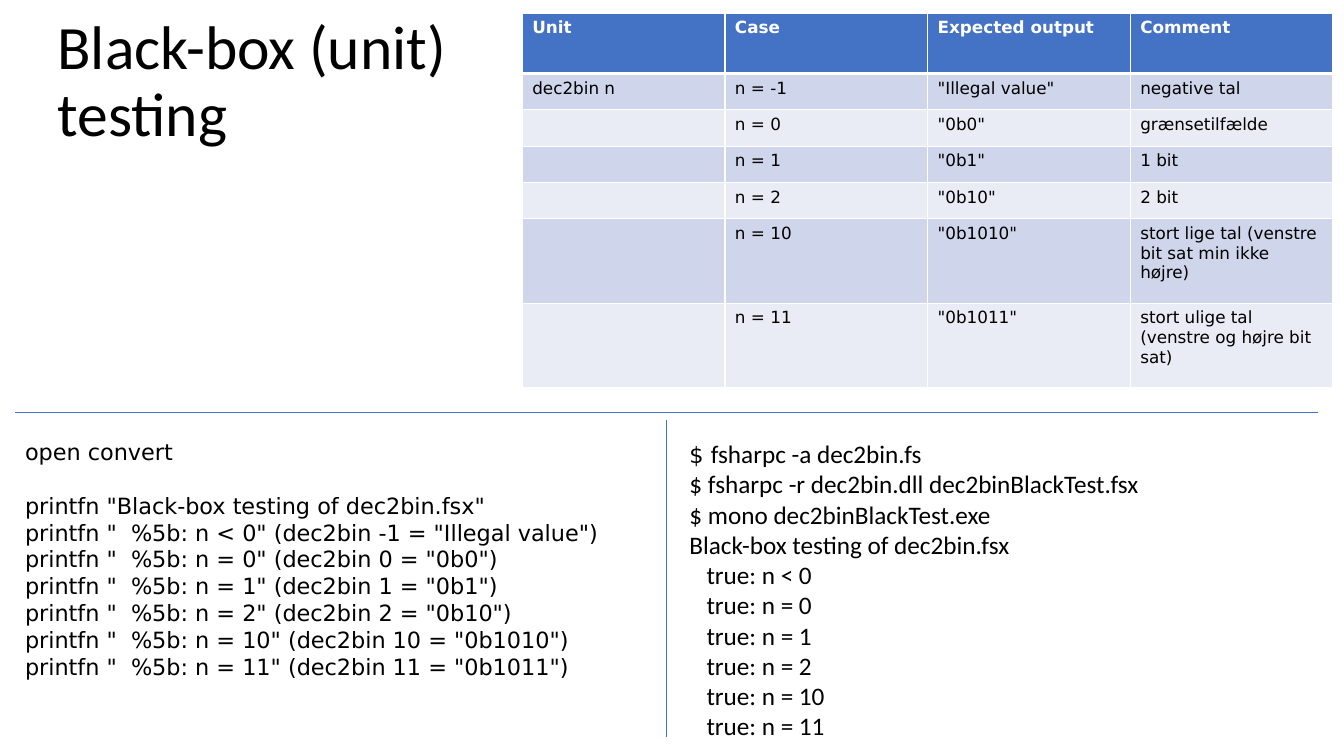
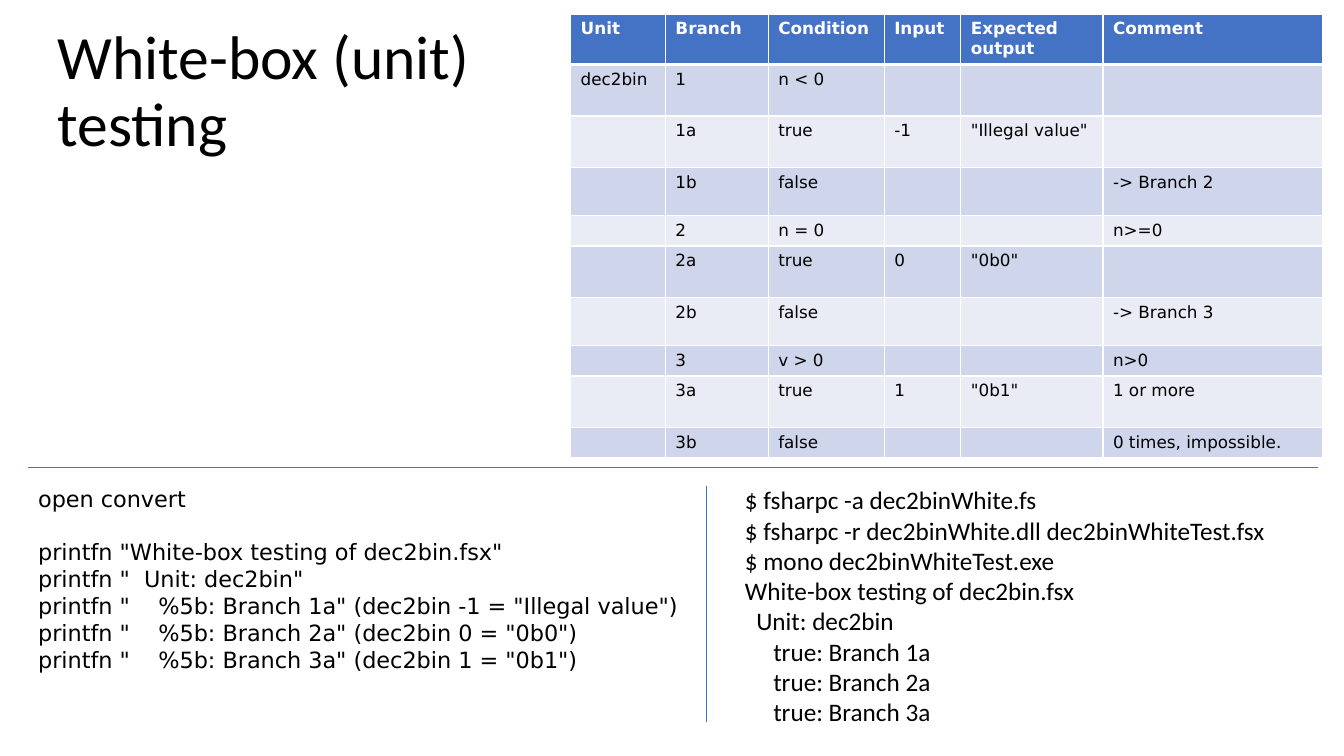
import lxml.etree
import pptx
import pptx.dml.color
import pptx.enum.shapes
import pptx.enum.text
import pptx.oxml.ns
import pptx.util

Inches = pptx.util.Inches
Pt = pptx.util.Pt
qn = pptx.oxml.ns.qn

BLUE, BLACK, WHITE = "4472C4", "000000", "FFFFFF"
BANDS = ("CFD5EA", "E9EBF5")
SANS, MONO = "Calibri", "DejaVu Sans"
FORMATS = {
    "title": {"name": SANS, "size": Pt(44), "bold": False},
    "code": {"name": MONO, "size": Pt(16)},
    "terminal": {"name": SANS, "size": Pt(18)},
    "header": {"name": MONO, "size": Pt(12), "bold": True},
    "cell": {"name": MONO, "size": Pt(12), "bold": False},
}


def rgb(hex_colour):
    return pptx.dml.color.RGBColor.from_string(hex_colour)


class Deck:
    def __init__(self):
        self.presentation = pptx.Presentation()
        self.presentation.slide_width = Inches(13.33)
        self.presentation.slide_height = Inches(7.5)
        self.slide = None

    def style(self, font, style, colour=BLACK):
        for attribute, value in FORMATS[style].items():
            setattr(font, attribute, value)
        font.color.rgb = rgb(colour)

    def add_run(self, paragraph, text, style, colour=BLACK):
        run = paragraph.add_run()
        run.text = text
        self.style(run.font, style, colour)

    def new_slide(self, title, top, width):
        layout = self.presentation.slide_layouts[5]
        self.slide = self.presentation.slides.add_slide(layout)
        heading = self.slide.shapes.title
        heading.left, heading.top = Inches(0.47), Inches(top)
        heading.width, heading.height = Inches(width), Inches(1.45)
        frame = heading.text_frame
        frame.word_wrap = True
        frame.auto_size = pptx.enum.text.MSO_AUTO_SIZE.NONE
        frame.vertical_anchor = pptx.enum.text.MSO_ANCHOR.MIDDLE
        paragraph = frame.paragraphs[0]
        paragraph.alignment = pptx.enum.text.PP_ALIGN.LEFT
        paragraph.line_spacing = 0.9
        self.add_run(paragraph, title, "title")

    def listing(self, lines, style, left, top, width, height, gap_before=None):
        """Add one paragraph a line; a line may be a list of (text, style)."""
        box = self.slide.shapes.add_textbox(
            Inches(left), Inches(top), Inches(width), Inches(height))
        frame = box.text_frame
        frame.word_wrap = True
        for index, line in enumerate(lines):
            paragraph = frame.add_paragraph() if index else frame.paragraphs[0]
            if index == gap_before:
                paragraph.space_before = Pt(19)
            pieces = [(line, style)] if isinstance(line, str) else line
            for text, piece_style in pieces:
                self.add_run(paragraph, text, piece_style)

    def rule(self, x1, y1, x2, y2):
        line = self.slide.shapes.add_connector(
            pptx.enum.shapes.MSO_CONNECTOR.STRAIGHT,
            Inches(x1), Inches(y1), Inches(x2), Inches(y2))
        line.line.color.rgb = rgb(BLUE)
        line.line.width = Pt(0.5)
        lxml.etree.SubElement(line._element.spPr, qn("a:effectLst"))

    def border(self, cell, widths):
        properties = cell._tc.get_or_add_tcPr()
        for side, width in widths.items():
            edge = lxml.etree.SubElement(
                properties, qn(f"a:ln{side}"), w=str(Pt(width)))
            fill = lxml.etree.SubElement(edge, qn("a:solidFill"))
            lxml.etree.SubElement(fill, qn("a:srgbClr"), val=WHITE)

    def table(self, left, top, columns, heights, rows):
        grid = self.slide.shapes.add_table(
            len(rows), len(columns), Inches(left), Inches(top),
            Inches(sum(columns)), Inches(sum(heights))).table
        for column, width in zip(grid.columns, columns):
            column.width = Inches(width)
        for r, (row, height) in enumerate(zip(rows, heights)):
            grid.rows[r].height = Inches(height)
            style, colour, fill = (("cell", BLACK, BANDS[(r - 1) % 2]) if r
                                   else ("header", WHITE, BLUE))
            # A thick edge parts the header from the body
            edges = {"L": 1, "R": 1, "T": 3 if r == 1 else 1, "B": 1 if r else 3}
            for c, text in enumerate(row):
                cell = grid.cell(r, c)
                self.border(cell, edges)
                cell.fill.solid()
                cell.fill.fore_color.rgb = rgb(fill)
                paragraph = cell.text_frame.paragraphs[0]
                if text:
                    self.add_run(paragraph, text, style, colour)
                else:
                    # Empty cells keep the small size so rows do not grow
                    lxml.etree.SubElement(
                        paragraph._p, qn("a:endParaRPr"), sz="1200")


def black_box(deck):
    deck.new_slide("Black-box (unit) testing", 0.1, 4.88)

    # Test program
    tests = [("n < 0", "-1", "Illegal value"), ("n = 0", "0", "0b0"),
             ("n = 1", "1", "0b1"), ("n = 2", "2", "0b10"),
             ("n = 10", "10", "0b1010"), ("n = 11", "11", "0b1011")]
    program = ["open convert", 'printfn "Black-box testing of dec2bin.fsx"']
    program += [f'printfn "  %5b: {case}" (dec2bin {value} = "{output}")'
                for case, value, output in tests]
    deck.listing(program, "code", 0.15, 4.3, 6.59, 2.52, gap_before=1)

    # Terminal session
    session = [[("$ ", "code"), ("fsharpc -a dec2bin.fs", "terminal")],
               "$ fsharpc -r dec2bin.dll dec2binBlackTest.fsx",
               "$ mono dec2binBlackTest.exe",
               "Black-box testing of dec2bin.fsx"]
    session += [f"   true: {case}" for case, _, _ in tests]
    deck.listing(session, "terminal", 6.74, 4.3, 6.04, 3.13)

    deck.rule(0.15, 4.09, 13.07, 4.09)
    deck.rule(6.61, 4.17, 6.61, 7.31)

    # Test cases
    comments = ["negative tal", "grænsetilfælde", "1 bit", "2 bit",
                "stort lige tal (venstre bit sat min ikke højre)",
                "stort ulige tal (venstre og højre bit sat)"]
    cases = [("Unit", "Case", "Expected output", "Comment")]
    cases += [("" if index else "dec2bin n", f"n = {value}", f'"{output}"', comment)
              for index, ((_, value, output), comment)
              in enumerate(zip(tests, comments))]
    deck.table(5.18, 0.13, [2.01] * 4, [0.6] + [0.36] * 4 + [0.84] * 2, cases)


def white_box(deck):
    deck.new_slide("White-box (unit) testing", 0.2, 4.49)

    # Test program
    tests = [("1a", "-1", "Illegal value"), ("2a", "0", "0b0"), ("3a", "1", "0b1")]
    program = ["open convert", 'printfn "White-box testing of dec2bin.fsx"',
               'printfn "  Unit: dec2bin"']
    program += [f'printfn "    %5b: Branch {branch}" (dec2bin {value} = "{output}")'
                for branch, value, output in tests]
    deck.listing(program, "code", 0.28, 4.76, 6.59, 1.99, gap_before=1)

    # Terminal session
    session = ["$ fsharpc -a dec2binWhite.fs",
               "$ fsharpc -r dec2binWhite.dll dec2binWhiteTest.fsx",
               "$ mono dec2binWhiteTest.exe",
               "White-box testing of dec2bin.fsx",
               "  Unit: dec2bin"]
    session += [f"     true: Branch {branch}" for branch, _, _ in tests]
    deck.listing(session, "terminal", 7.29, 4.76, 6.04, 2.83)

    deck.rule(0.28, 4.64, 13.07, 4.64)
    deck.rule(7.01, 4.82, 7.01, 7.16)

    # Branch coverage
    branches = [
        ("Unit", "Branch", "Condition", "Input", "Expected output", "Comment"),
        ("dec2bin", "1", "n < 0", "", "", ""),
        ("", "1a", "true", "-1", '"Illegal value"', ""),
        ("", "1b", "false", "", "", "-> Branch 2"),
        ("", "2", "n = 0", "", "", "n>=0"),
        ("", "2a", "true", "0", '"0b0"', ""),
        ("", "2b", "false", "", "", "-> Branch 3"),
        ("", "3", "v > 0", "", "", "n>0"),
        ("", "3a", "true", "1", '"0b1"', "1 or more"),
        ("", "3b", "false", "", "", "0 times, impossible."),
    ]
    deck.table(5.66, 0.14, [0.94, 1.02, 1.15, 0.76, 1.41, 2.18],
               [0.5, 0.51, 0.51, 0.48, 0.3, 0.51, 0.48, 0.3, 0.51, 0.3], branches)


def main():
    deck = Deck()
    black_box(deck)
    white_box(deck)
    deck.presentation.save("out.pptx")


if __name__ == "__main__":
    main()
